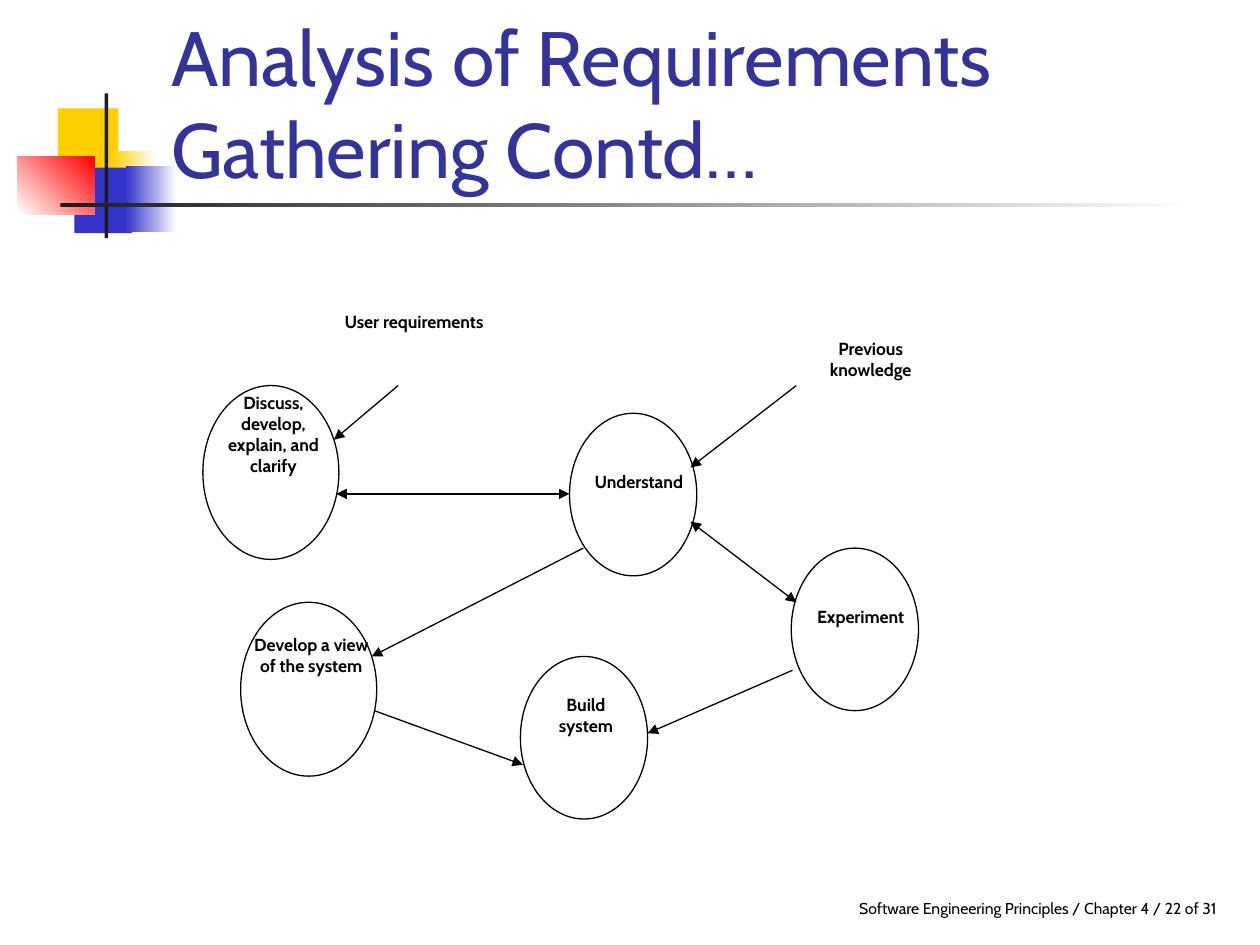
from lxml import etree
from pptx import Presentation
from pptx.dml.color import RGBColor
from pptx.enum import shapes as sh, text as tx
from pptx.oxml import ns
from pptx.util import Inches, Pt

deck = Presentation()
deck.slide_width, deck.slide_height = Inches(10), Inches(7.5)
slide = deck.slides.add_slide(deck.slide_layouts[6])
parts = slide.shapes


def rgb(code):
    return RGBColor.from_string(code)


def write(box, words, size, color="000000", bold=False,
          align=tx.PP_ALIGN.CENTER, anchor=tx.MSO_ANCHOR.TOP):
    """Add a wrapped text box holding one run."""
    frame = parts.add_textbox(*map(Inches, box)).text_frame
    frame.word_wrap = True
    frame.vertical_anchor = anchor
    para = frame.paragraphs[0]
    para.alignment = align
    run = para.add_run()
    run.text = words
    run.font.name = "Cabin"
    run.font.size = Pt(size)
    run.font.bold = bold
    run.font.color.rgb = rgb(color)


# Corner blocks and rules: box, colors from start to end, angle
blocks = [
    ((0.46, 0.86, 0.48, 0.52), ["FFCF01"], 0),
    ((0.88, 1.2, 0.36, 0.52), ["FFCF01", "FFFFFF"], 0),
    ((0.59, 1.33, 0.46, 0.52), ["3333CC"], 0),
    ((1, 1.32, 0.4, 0.52), ["3333CC", "FFFFFF"], 0),
    ((0.14, 1.24, 0.61, 0.46), ["FFFFFF", "FF0000"], 45),
    ((0.83, 0.74, 0.03, 1.15), ["1C1C1C"], 0),
    ((0.48, 1.61, 9, 0.03), ["1C1C1C", "FFFFFF"], 0),
]
for box, colors, angle in blocks:
    block = parts.add_shape(sh.MSO_SHAPE.RECTANGLE, *map(Inches, box))
    block.shadow.inherit = False
    block.line.fill.background()
    if len(colors) == 1:
        block.fill.solid()
        block.fill.fore_color.rgb = rgb(colors[0])
    else:
        block.fill.gradient()
        block.fill.gradient_angle = angle
        for stop, color in zip(block.fill.gradient_stops, colors):
            stop.color.rgb = rgb(color)

write((3.75, 6.83, 6, 0.5), "Software Engineering Principles / Chapter 4 / 22 of 31",
      9, align=tx.PP_ALIGN.RIGHT, anchor=tx.MSO_ANCHOR.BOTTOM)
write((1.26, 0.34, 8.52, 1.25), "Analysis of Requirements Gathering Contd…",
      44, "333399", align=tx.PP_ALIGN.LEFT, anchor=tx.MSO_ANCHOR.BOTTOM)

# Process steps
small, large = (1.01, 1.29), (1.08, 1.38)
steps = [
    ((6.28, 4.35), small),
    ((4.52, 3.28), small),
    ((1.61, 3.06), large),
    ((1.91, 4.78), large),
    ((4.13, 5.21), small),
]
for spot, size in steps:
    step = parts.add_shape(sh.MSO_SHAPE.OVAL, *map(Inches, spot + size))
    step.shadow.inherit = False
    step.fill.background()
    step.line.color.rgb = rgb("000000")
    step.line.width = Pt(0.75)

labels = [
    ((6.24, 4.76, 1.18, 0.43), "Experiment"),
    ((4.48, 3.69, 1.18, 0.43), "Understand"),
    ((1.58, 3.06, 1.18, 1.29), "Discuss, develop, explain, and clarify"),
    ((1.88, 4.98, 1.18, 1.07), "Develop a view of the system"),
    ((4.23, 5.46, 0.84, 0.86), "Build system"),
    ((2.61, 2.42, 1.35, 0.86), "User requirements"),
    ((6.32, 2.63, 1.18, 0.86), "Previous knowledge"),
]
for box, words in labels:
    write(box, words, 10, bold=True)

# Arrows: start, end, and which ends carry a head
one, both = ["tailEnd"], ["headEnd", "tailEnd"]
arrows = [
    ((3.16, 3.06), (2.65, 3.49), one),
    ((6.32, 3.06), (5.48, 3.71), one),
    ((2.67, 3.92), (4.52, 3.92), both),
    ((5.48, 4.14), (6.32, 4.78), both),
    ((4.63, 4.35), (2.95, 5.21), one),
    ((2.97, 5.64), (4.15, 6.07), one),
    ((6.29, 5.32), (5.14, 5.82), one),
]
for start, end, tips in arrows:
    arrow = parts.add_connector(sh.MSO_CONNECTOR.STRAIGHT, *map(Inches, start + end))
    arrow.line.color.rgb = rgb("000000")
    arrow.line.width = Pt(0.75)
    props = arrow.element.spPr
    for tip in tips:
        etree.SubElement(props.find(ns.qn("a:ln")), ns.qn("a:" + tip), type="triangle")
    etree.SubElement(props, ns.qn("a:effectLst"))

deck.save("out.pptx")
